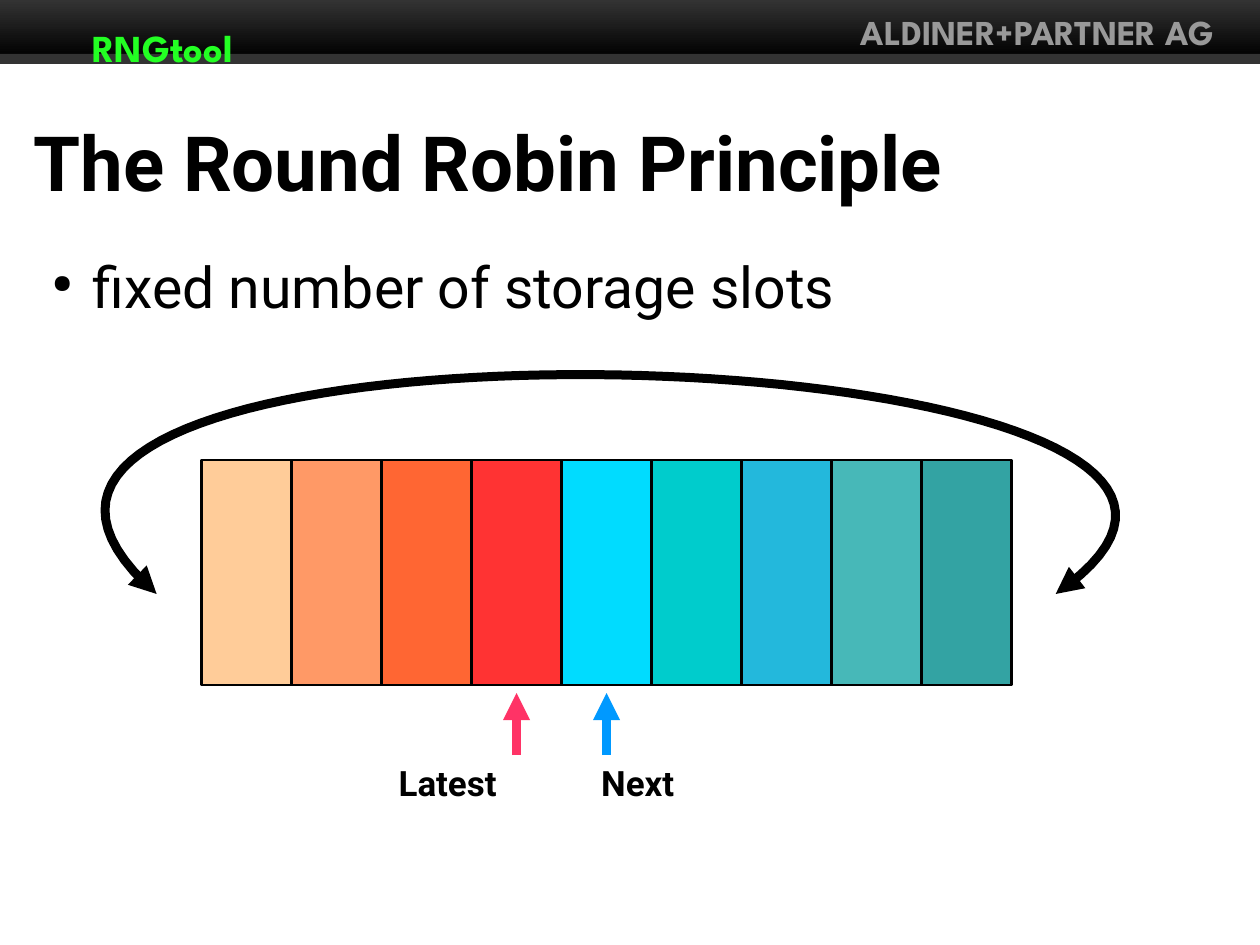
from dataclasses import dataclass

from lxml.etree import SubElement
from pptx import Presentation
from pptx.dml.color import RGBColor
from pptx.enum.shapes import MSO_CONNECTOR as CONN, MSO_SHAPE as SHAPE
from pptx.enum.text import MSO_ANCHOR as ANCHOR, PP_ALIGN as ALIGN
from pptx.oxml.ns import qn
from pptx.util import Cm, Pt

COLS, ROWS = 14, 10.5
SLOT_LEFT, SLOT_TOP, SLOT_HEIGHT = 2.24, 5.11, 2.5
LABEL_TOP = 8.39
LOOP = ((1.74, 6.6), (-2.25, 3.1), (16.05, 3.61), (11.73, 6.6))
LOOP_STEPS = 80


@dataclass(frozen=True)
class Theme:
    head_font: str = "League Spartan"
    body_font: str = "Roboto"
    title: float = 48
    body: float = 36
    brand: float = 24
    label: float = 22
    outline: float = 1.42
    arrow: float = 5.67
    ink: str = "000000"
    bar: str = "333333"
    company: str = "999999"
    tool: str = "23FF23"
    latest: str = "FF3366"
    next: str = "0099FF"
    slots: tuple = ("FFCC99", "FF9966", "FF6633", "FF3333", "00DCFF",
                    "00CCCC", "23B8DC", "47B8B8", "33A3A3")


T = Theme()


def cells(*values):
    return [Cm(2 * v) for v in values]


def rgb(color):
    return RGBColor.from_string(color)


def add_rect(s, box, fill, line=None):
    sp = s.shapes.add_shape(SHAPE.RECTANGLE, *cells(*box))
    sp.shadow.inherit = False
    sp.fill.solid()
    sp.fill.fore_color.rgb = rgb(fill)
    if line:
        sp.line.color.rgb = rgb(line)
        sp.line.width = Pt(T.outline)
    else:
        sp.line.fill.background()
    return sp


def add_text(s, box, text, size, color=T.ink, font=T.body_font, bold=True,
             inset=(0, 0), anchor=ANCHOR.TOP, align=ALIGN.LEFT):
    tf = s.shapes.add_textbox(*cells(*box)).text_frame
    tf.word_wrap = True
    tf.vertical_anchor = anchor
    tf.margin_left = tf.margin_right = Cm(inset[0])
    tf.margin_top = tf.margin_bottom = Cm(inset[1])
    p = tf.paragraphs[0]
    p.alignment = align
    r = p.add_run()
    r.text = text
    r.font.name, r.font.size, r.font.bold = font, Pt(size), bold
    r.font.color.rgb = rgb(color)
    return p


def add_bullet(p):
    pPr = p._p.get_or_add_pPr()
    pPr.set("marL", str(Cm(1.2)))
    pPr.set("indent", str(Cm(-0.9)))
    SubElement(pPr, qn("a:buSzPct")).set("val", "45000")
    SubElement(pPr, qn("a:buChar")).set("char", "●")


def style_arrow(sp, color, ends):
    sp.line.color.rgb = rgb(color)
    sp.line.width = Pt(T.arrow)
    for end in ends:
        SubElement(sp.line._get_or_add_ln(), qn(f"a:{end}")).set("type", "triangle")


def add_pointer(s, slot, color):
    x = SLOT_LEFT + slot + 0.5
    c = s.shapes.add_connector(CONN.STRAIGHT, *cells(x, LABEL_TOP, x, 7.7))
    style_arrow(c, color, ["tailEnd"])
    SubElement(c._element.spPr, qn("a:effectLst"))


def bezier(t):
    weights = ((1 - t) ** 3, 3 * t * (1 - t) ** 2, 3 * t * t * (1 - t), t ** 3)
    return cells(*(sum(w * pt[i] for w, pt in zip(weights, LOOP)) for i in (0, 1)))


def add_loop(s):
    start, *rest = [bezier(i / LOOP_STEPS) for i in range(LOOP_STEPS + 1)]
    fb = s.shapes.build_freeform(*start)
    fb.add_line_segments(rest, close=False)
    sp = fb.convert_to_shape()
    sp.shadow.inherit = False
    sp.fill.background()
    style_arrow(sp, T.ink, ["headEnd", "tailEnd"])


def add_header(s):
    fill = add_rect(s, (0, 0, COLS, 0.64), T.bar).fill
    fill.gradient()
    fill.gradient_angle = 270
    for stop, color in zip(fill.gradient_stops, (T.bar, T.ink)):
        stop.color.rgb = rgb(color)
    add_rect(s, (0, 0.6, COLS, 0.11), T.bar)
    add_text(s, (9.44, 0.05, 4.53, 0.66), "ALDINER+PARTNER AG", T.label,
             T.company, T.head_font, inset=(0.25, 0.13))
    add_text(s, (0.41, 0.27, 2.79, 0.52), "RNGtool", T.brand, T.tool,
             T.head_font, inset=(0.25, 0.13), anchor=ANCHOR.MIDDLE,
             align=ALIGN.CENTER)


def main():
    prs = Presentation()
    prs.slide_width, prs.slide_height = cells(COLS, ROWS)
    s = prs.slides.add_slide(prs.slide_layouts[6])
    add_header(s)
    add_text(s, (0.37, 1.16, 13.02, 1.26), "The Round Robin Principle",
             T.title, anchor=ANCHOR.MIDDLE)
    add_bullet(add_text(s, (0.43, 2.79, 12.88, 6.5),
                        "fixed number of storage slots", T.body, bold=False))
    for i, color in enumerate(T.slots):
        add_rect(s, (SLOT_LEFT + i, SLOT_TOP, 1, SLOT_HEIGHT), color, T.ink)
    for text, left, width, slot, color in (("Latest", 4.29, 1.65, 3, T.latest),
                                           ("Next", 6.54, 1.3, 4, T.next)):
        add_text(s, (left, LABEL_TOP, width, 0.6), text, T.label,
                 inset=(0.28, 0.15))
        add_pointer(s, slot, color)
    add_loop(s)
    prs.save("out.pptx")


if __name__ == "__main__":
    main()
